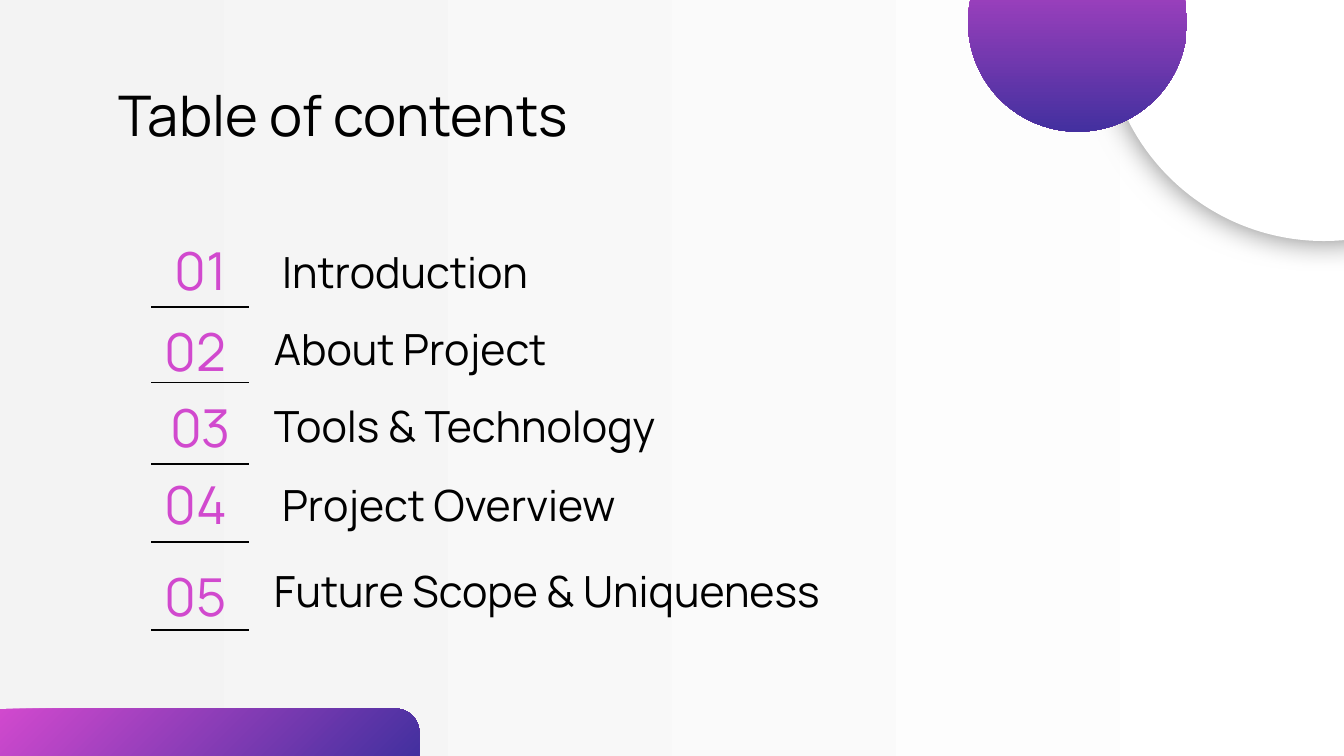
"""Build a table of contents slide with five numbered entries and gradient accents."""
from dataclasses import dataclass

from lxml.etree import SubElement
from pptx import Presentation
from pptx.dml.color import RGBColor
from pptx.dml.fill import FillFormat
from pptx.enum.shapes import MSO_CONNECTOR as Connector, MSO_SHAPE as Preset
from pptx.enum.text import MSO_ANCHOR as Anchor, PP_ALIGN as Align
from pptx.oxml.ns import qn
from pptx.shapes.autoshape import Shape
from pptx.slide import Slide
from pptx.util import Inches, Pt

COLORS = {
    "ink": "000000",
    "white": "FFFFFF",
    "mist": "F3F3F3",
    "orchid": "D149CE",
    "indigo": "43309F",
}
FONT = "Manrope"
COLUMNS, ROWS = 100, 56.25
CELL = Inches(10) / COLUMNS
NUMBER_LEFT, NUMBER_WIDTH = 11.26, 7.3
LABEL_HEIGHT = 3.9
FOOTER_HEIGHT = 3.53


@dataclass(frozen=True)
class Box:
    left: float
    top: float
    width: float
    height: float

    def lengths(self) -> tuple[int, ...]:
        return tuple(cells(n) for n in (self.left, self.top, self.width, self.height))


@dataclass(frozen=True)
class Entry:
    number: str
    number_top: float
    number_height: float
    number_align: Align
    title: str
    title_left: float
    title_top: float
    title_width: float
    rule: float


ENTRIES = [
    Entry("01", 18.1, 3.9, Align.CENTER, "Introduction", 20, 18.24, 28.9, 22.84),
    Entry("02", 24.14, 3.9, Align.LEFT, "About Project", 19.4, 23.94, 28.9, 28.46),
    Entry("03", 29.8, 3.9, Align.CENTER, "Tools & Technology", 19.4, 29.7, 34.8, 34.53),
    Entry("04", 35.3, 4.4, Align.LEFT, "Project Overview", 20, 35.6, 34.2, 40.33),
    Entry("05", 42.14, 4.4, Align.LEFT, "Future Scope & Uniqueness", 19.4, 42, 49.8, 46.88),
]


def cells(count: float) -> int:
    return round(count * CELL)


def rgb(name: str) -> RGBColor:
    return RGBColor.from_string(COLORS[name])


def paint_gradient(fill: FillFormat, start: str, end: str, angle: float) -> None:
    fill.gradient()
    fill.gradient_angle = angle
    for stop, name in zip(fill.gradient_stops, (start, end)):
        stop.color.rgb = rgb(name)


def add_accent(slide: Slide, preset: Preset, box: Box) -> Shape:
    accent = slide.shapes.add_shape(preset, *box.lengths())
    accent.shadow.inherit = False
    accent.line.fill.background()
    return accent


def add_glow(accent: Shape) -> None:
    effects = accent.element.spPr.find(qn("a:effectLst"))
    glow = SubElement(effects, qn("a:outerShdw"), blurRad=str(Pt(16.9)), dist="0",
                      dir="0", algn="ctr", rotWithShape="0")
    tint = SubElement(glow, qn("a:srgbClr"), val=COLORS["ink"])
    SubElement(tint, qn("a:alpha"), val="50000")


def add_text(slide: Slide, words: str, box: Box, size: float, color: str,
             align: Align = Align.LEFT) -> None:
    frame = slide.shapes.add_textbox(*box.lengths()).text_frame
    frame.word_wrap = True
    frame.vertical_anchor = Anchor.MIDDLE
    frame.margin_left = frame.margin_right = cells(1)
    frame.margin_top = frame.margin_bottom = cells(1)
    paragraph = frame.paragraphs[0]
    paragraph.alignment = align
    run = paragraph.add_run()
    run.text = words
    run.font.size = Pt(size)
    run.font.name = FONT
    run.font.color.rgb = rgb(color)


def add_rule(slide: Slide, row: float) -> None:
    rule = slide.shapes.add_connector(
        Connector.STRAIGHT, cells(NUMBER_LEFT), cells(row),
        cells(NUMBER_LEFT + NUMBER_WIDTH), cells(row))
    rule.line.color.rgb = rgb("ink")
    rule.line.width = Pt(0.75)
    SubElement(rule.element.spPr, qn("a:effectLst"))


def add_entry(slide: Slide, entry: Entry) -> None:
    number_box = Box(NUMBER_LEFT, entry.number_top, NUMBER_WIDTH, entry.number_height)
    title_box = Box(entry.title_left, entry.title_top, entry.title_width, LABEL_HEIGHT)
    add_text(slide, entry.number, number_box, 28, "orchid", entry.number_align)
    add_text(slide, entry.title, title_box, 23, "ink")
    add_rule(slide, entry.rule)


def main() -> None:
    deck = Presentation()
    deck.slide_width, deck.slide_height = cells(COLUMNS), cells(ROWS)
    slide = deck.slides.add_slide(deck.slide_layouts[6])
    paint_gradient(slide.background.fill, "white", "mist", 180)

    footer = add_accent(slide, Preset.ROUND_1_RECTANGLE,
                        Box(0, ROWS - FOOTER_HEIGHT, 31.2, FOOTER_HEIGHT))
    footer.adjustments[0] = 0.5
    paint_gradient(footer.fill, "orchid", "indigo", 315)

    add_text(slide, "Table of contents", Box(7.84, 5.9, 84.4, 5.2), 30, "ink")
    for entry in ENTRIES:
        add_entry(slide, entry)

    moon = add_accent(slide, Preset.OVAL, Box(82.2, -14.66, 32.6, 32.6))
    moon.fill.solid()
    moon.fill.fore_color.rgb = rgb("white")
    add_glow(moon)
    planet = add_accent(slide, Preset.OVAL, Box(72.03, -6.5, 16.3, 16.3))
    paint_gradient(planet.fill, "orchid", "indigo", 270)

    deck.save("out.pptx")


if __name__ == "__main__":
    main()
